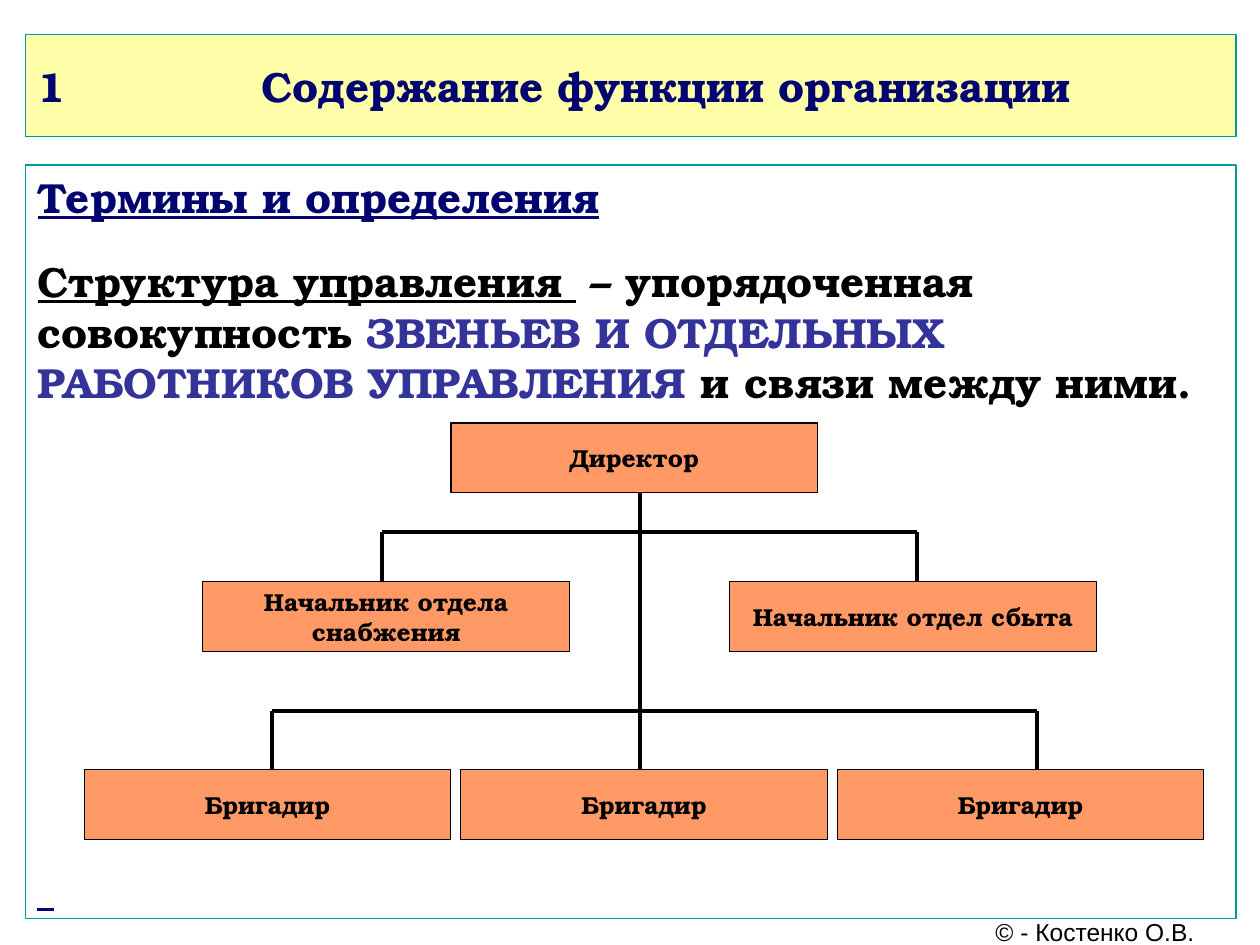
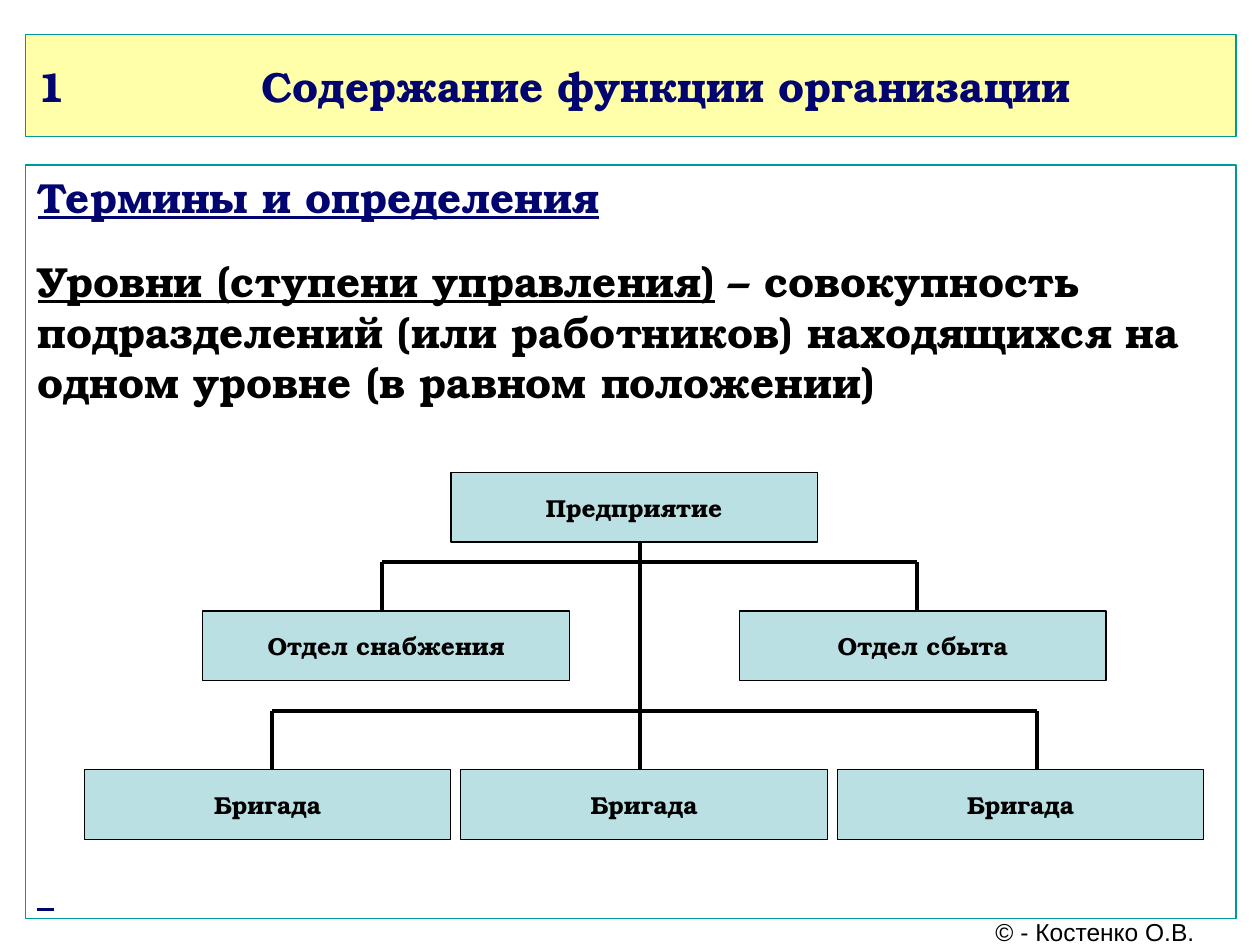
"""Two slides on organisation terms: a definition above an organisation chart."""
import pptx
import pptx.dml.color
import pptx.enum.shapes
import pptx.enum.text
import pptx.util
from pptx.util import Cm

COLORS = {
    "band": "FFFFA9", "frame": "009999", "paper": "FFFFFF", "navy": "020570",
    "indigo": "333399", "ink": "000000", "orange": "FF9966", "ice": "BBE0E3",
}
SERIF = "TeX Gyre Bonum"
ALIGN = pptx.enum.text.PP_ALIGN
ANCHOR = pptx.enum.text.MSO_ANCHOR

BOX_WIDTH, BOX_HEIGHT = 7.39, 1.4
HEAD_LEFT, TRUNK = 9.09, 12.9
CREW_LEFT, CREW_STEP, CREW_TOP = 1.7, 7.59, 15.52
CREW_BAR, CREW_DROPS = 14.33, (5.49, 20.9)
UNIT_DROPS = (7.7, 18.49)

PAGES = [
    {
        "definition": [
            ("Структура управления ", "ink", True),
            (" – упорядоченная совокупность ", "ink", False),
            ("ЗВЕНЬЕВ И ОТДЕЛЬНЫХ РАБОТНИКОВ УПРАВЛЕНИЯ", "indigo", False),
            (" и связи между ними.", "ink", False),
        ],
        "fill": "orange",
        "head": "Директор", "head_top": 8.53,
        "units": [("Начальник отдела\nснабжения", 4.09), ("Начальник отдел сбыта", 14.71)],
        "unit_top": 11.73, "unit_bar": 10.72,
        "crew": "Бригадир",
    },
    {
        "definition": [
            ("Уровни (ступени управления)", "ink", True),
            (" – совокупность подразделений (или работников) находящихся "
             "на одном уровне (в равном положении)", "ink", False),
        ],
        "fill": "ice",
        "head": "Предприятие", "head_top": 9.53,
        "units": [("Отдел снабжения", 4.09), ("Отдел сбыта", 14.91)],
        "unit_top": 12.32, "unit_bar": 11.33,
        "crew": "Бригада",
    },
]


def add_box(page, left, top, width, height, fill, line):
    box = page.shapes.add_shape(
        pptx.enum.shapes.MSO_SHAPE.RECTANGLE, Cm(left), Cm(top), Cm(width), Cm(height))
    box.shadow.inherit = False
    box.fill.solid()
    box.fill.fore_color.rgb = pptx.dml.color.RGBColor.from_string(COLORS[fill])
    box.line.color.rgb = pptx.dml.color.RGBColor.from_string(COLORS[line])
    box.line.width = pptx.util.Pt(0.75)
    box.text_frame.vertical_anchor = ANCHOR.MIDDLE
    return box


def set_font(font, color, size=None, name=SERIF, bold=True):
    font.color.rgb = pptx.dml.color.RGBColor.from_string(COLORS[color])
    if size:
        font.name, font.size, font.bold = name, pptx.util.Pt(size), bold


deck = pptx.Presentation()
deck.slide_width, deck.slide_height = Cm(25.4), Cm(19.05)

for content in PAGES:
    page = deck.slides.add_slide(deck.slide_layouts[6])

    title = add_box(page, 0.51, 0.69, 24.41, 2.06, "band", "frame")
    para = title.text_frame.paragraphs[0]
    para.text = "1\tСодержание функции организации"
    para.alignment = ALIGN.LEFT
    properties = para._p.get_or_add_pPr()
    properties.set("marL", str(Cm(4.52)))
    properties.set("indent", str(-Cm(4.52)))
    set_font(para.font, "navy", 24)

    body = add_box(page, 0.51, 3.33, 24.41, 15.19, "paper", "frame")
    body.text_frame.vertical_anchor = ANCHOR.TOP
    heading = body.text_frame.paragraphs[0]
    heading.text = "Термины и определения"
    heading.alignment = ALIGN.LEFT
    set_font(heading.font, "navy", 24)
    heading.font.underline = True
    definition = body.text_frame.add_paragraph()
    definition.alignment = ALIGN.LEFT
    definition.space_before = pptx.util.Pt(19.4)
    set_font(definition.font, "ink", 24)
    for text, color, underlined in content["definition"]:
        span = definition.add_run()
        span.text = text
        span.font.underline = underlined
        set_font(span.font, color)

    chart_boxes = [(content["head"], HEAD_LEFT, content["head_top"])]
    chart_boxes += [(text, left, content["unit_top"]) for text, left in content["units"]]
    chart_boxes += [(content["crew"], CREW_LEFT + i * CREW_STEP, CREW_TOP) for i in range(3)]
    for text, left, top in chart_boxes:
        box = add_box(page, left, top, BOX_WIDTH, BOX_HEIGHT, content["fill"], "ink")
        box.text_frame.word_wrap = False
        box.text_frame.text = text
        for para in box.text_frame.paragraphs:
            para.alignment = ALIGN.CENTER
            set_font(para.font, "ink", 14)

    lines = [(TRUNK, content["head_top"] + BOX_HEIGHT, TRUNK, CREW_TOP, "ink", 2.25)]
    for drops, bar, top in ((UNIT_DROPS, content["unit_bar"], content["unit_top"]),
                            (CREW_DROPS, CREW_BAR, CREW_TOP)):
        lines.append((drops[0], bar, drops[1], bar, "ink", 2.25))
        lines += [(x, bar, x, top, "ink", 2.25) for x in drops]
    lines.append((0.74, 18.34, 1.09, 18.34, "navy", 1.5))
    for x1, y1, x2, y2, color, width in lines:
        line = page.shapes.add_connector(
            pptx.enum.shapes.MSO_CONNECTOR.STRAIGHT, Cm(x1), Cm(y1), Cm(x2), Cm(y2))
        line.line.color.rgb = pptx.dml.color.RGBColor.from_string(COLORS[color])
        line.line.width = pptx.util.Pt(width)
        line._element.spPr.append(pptx.oxml.parse_xml(
            '<a:effectLst xmlns:a="http://schemas.openxmlformats.org/drawingml/2006/main"/>'))

    footer = page.shapes.add_textbox(Cm(19.51), Cm(18.52), Cm(5.13), Cm(0.53))
    footer.text_frame.word_wrap = False
    footer.text_frame.vertical_anchor = ANCHOR.MIDDLE
    para = footer.text_frame.paragraphs[0]
    para.text = "© - Костенко О.В."
    para.alignment = ALIGN.CENTER
    set_font(para.font, "ink", 14, "Arial", False)

deck.save("out.pptx")
